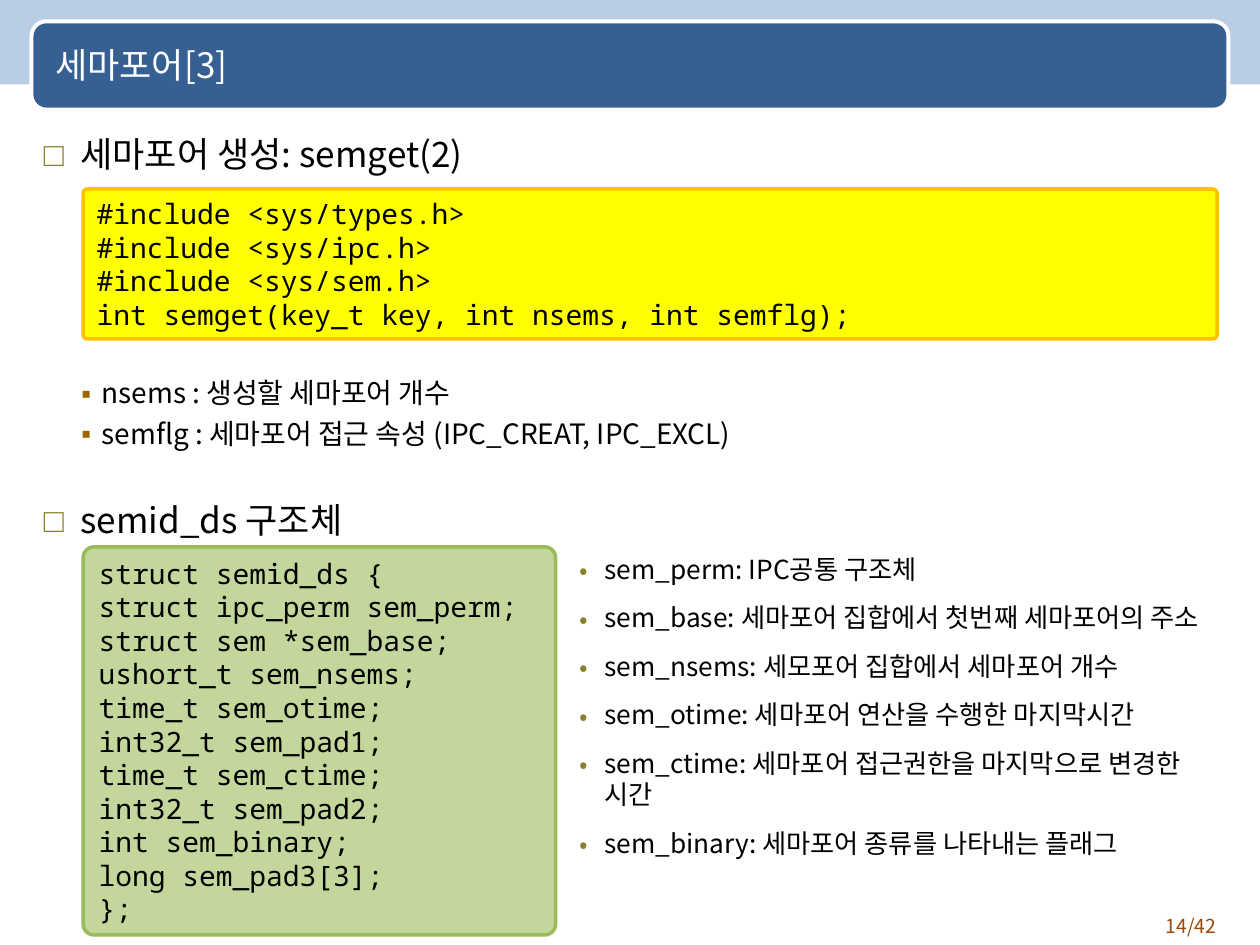
import pptx
import pptx.util
import pptx.dml.color
import pptx.enum.shapes
import pptx.enum.text
import pptx.oxml.ns
from lxml import etree

Inches = pptx.util.Inches
Pt = pptx.util.Pt
RGBColor = pptx.dml.color.RGBColor
Shape = pptx.enum.shapes.MSO_SHAPE
Anchor = pptx.enum.text.MSO_ANCHOR
Align = pptx.enum.text.PP_ALIGN
qn = pptx.oxml.ns.qn

WHITE = RGBColor(0xFF, 0xFF, 0xFF)
BLACK = RGBColor(0, 0, 0)
BAND_BLUE = RGBColor(0xB9, 0xCD, 0xE5)
TITLE_BLUE = RGBColor(0x37, 0x60, 0x92)
PAGE_BROWN = RGBColor(0x98, 0x48, 0x07)
OLIVE = RGBColor(0x88, 0x81, 0x28)
BROWN = RGBColor(0x99, 0x66, 0x00)
YELLOW = RGBColor(0xFF, 0xFF, 0x00)
AMBER = RGBColor(0xFF, 0xC0, 0x00)
PALE_GREEN = RGBColor(0xC3, 0xD6, 0x9B)
GREEN = RGBColor(0x9B, 0xBB, 0x59)

SANS = "Noto Sans CJK KR"
MONO = "Noto Sans Mono"

# Bullet styles: hanging indent in inches, spacing and text size in points
HEADING = {"char": "□", "face": MONO, "color": OLIVE, "scale": 95,
           "left": 0.29, "hang": 0.29, "size": 20, "before": 5, "after": 6}
ARGUMENT = {"char": "▪", "face": MONO, "color": BROWN, "scale": 100,
            "left": 0.46, "hang": 0.19, "size": 16, "before": 4, "after": 0}
MEMBER = {"char": "•", "face": SANS, "color": OLIVE, "scale": 95,
          "left": 0.2, "hang": 0.2, "size": 15, "before": 3.7, "after": 6}

OUTLINE = [
    ("세마포어 생성: semget(2)", HEADING),
    ("nsems : 생성할 세마포어 개수", ARGUMENT | {"before": 109}),
    ("semflg : 세마포어 접근 속성 (IPC_CREAT, IPC_EXCL)", ARGUMENT),
    ("semid_ds 구조체", HEADING | {"before": 28}),
]
MEMBERS = [
    "sem_perm: IPC공통 구조체",
    "sem_base: 세마포어 집합에서 첫번째 세마포어의 주소",
    "sem_nsems: 세모포어 집합에서 세마포어 개수",
    "sem_otime: 세마포어 연산을 수행한 마지막시간",
    "sem_ctime: 세마포어 접근권한을 마지막으로 변경한 시간",
    "sem_binary: 세마포어 종류를 나타내는 플래그",
]
SEMGET_CODE = """#include <sys/types.h>
#include <sys/ipc.h>
#include <sys/sem.h>
int semget(key_t key, int nsems, int semflg);"""
STRUCT_CODE = """struct semid_ds {
struct ipc_perm sem_perm;
struct sem *sem_base;
ushort_t sem_nsems;
time_t sem_otime;
int32_t sem_pad1;
time_t sem_ctime;
int32_t sem_pad2;
int sem_binary;
long sem_pad3[3];
};"""


def set_font(paragraph, face, size, color):
    """Format every run, unkerned, for Latin and Korean letters alike."""
    for run in paragraph.runs:
        for name, value in {"name": face, "size": Pt(size)}.items():
            setattr(run.font, name, value)
        run.font.color.rgb = color
        properties = run._r.get_or_add_rPr()
        properties.set("kern", "0")
        etree.SubElement(properties, qn("a:ea")).set("typeface", face)


def add_panel(slide, kind, box, fill, line=None, line_width=0, corner=None):
    panel = slide.shapes.add_shape(kind, *map(Inches, box))
    panel.shadow.inherit = False
    panel.fill.solid()
    panel.fill.fore_color.rgb = fill
    if line is None:
        panel.line.fill.background()
    else:
        panel.line.color.rgb = line
        panel.line.width = Pt(line_width)
    if corner is not None:
        panel.adjustments[0] = corner
    return panel


def add_code(slide, box, code, fill, line, align):
    panel = add_panel(slide, Shape.ROUNDED_RECTANGLE, box, fill, line, 2, 0.028)
    frame = panel.text_frame
    frame.vertical_anchor = Anchor.MIDDLE
    frame.text = code
    for paragraph in frame.paragraphs:
        paragraph.alignment = align
        set_font(paragraph, MONO, 16, BLACK)


def add_frame(slide, box, anchor=Anchor.TOP):
    frame = slide.shapes.add_textbox(*map(Inches, box)).text_frame
    frame.word_wrap = True
    frame.vertical_anchor = anchor
    return frame


def add_label(slide, box, text, size, color, align, anchor=Anchor.TOP):
    paragraph = add_frame(slide, box, anchor).paragraphs[0]
    paragraph.text = text
    paragraph.alignment = align
    set_font(paragraph, SANS, size, color)


def set_bullet(paragraph, style):
    properties = paragraph._p.get_or_add_pPr()
    properties.set("marL", str(Inches(style["left"])))
    properties.set("indent", str(-Inches(style["hang"])))
    color = etree.SubElement(properties, qn("a:buClr"))
    etree.SubElement(color, qn("a:srgbClr")).set("val", str(style["color"]))
    scale = etree.SubElement(properties, qn("a:buSzPct"))
    scale.set("val", str(style["scale"] * 1000))
    etree.SubElement(properties, qn("a:buFont")).set("typeface", style["face"])
    etree.SubElement(properties, qn("a:buChar")).set("char", style["char"])


def add_bullets(slide, box, items):
    frame = add_frame(slide, box)
    for index, (text, style) in enumerate(items):
        paragraph = frame.add_paragraph() if index else frame.paragraphs[0]
        paragraph.text = text
        set_bullet(paragraph, style)
        paragraph.space_before = Pt(style["before"] if index else 0)
        paragraph.space_after = Pt(style["after"])
        set_font(paragraph, SANS, style["size"], BLACK)


def main():
    deck = pptx.Presentation()
    deck.slide_width, deck.slide_height = Inches(10), Inches(7.5)
    slide = deck.slides.add_slide(deck.slide_layouts[6])

    add_panel(slide, Shape.RECTANGLE, (-0.01, 0, 10.02, 0.67), BAND_BLUE)
    add_panel(slide, Shape.ROUNDED_RECTANGLE, (0.25, 0.17, 9.5, 0.7),
              TITLE_BLUE, WHITE, 2.25, 0.167)
    add_label(slide, (8.92, 7.21, 0.83, 0.29), "14/42", 11, PAGE_BROWN, Align.RIGHT)
    add_label(slide, (0.34, 0.18, 9.25, 0.67), "세마포어[3]", 20, WHITE,
              Align.LEFT, Anchor.MIDDLE)

    add_bullets(slide, (0.25, 1, 9.5, 6.25), OUTLINE)
    add_code(slide, (0.66, 1.5, 9, 1.19), SEMGET_CODE, YELLOW, AMBER, Align.JUSTIFY)
    add_code(slide, (0.66, 4.34, 3.75, 3.08), STRUCT_CODE, PALE_GREEN, GREEN, Align.LEFT)
    add_bullets(slide, (4.5, 4.34, 5.12, 3), [(text, MEMBER) for text in MEMBERS])

    deck.save("out.pptx")


if __name__ == "__main__":
    main()
